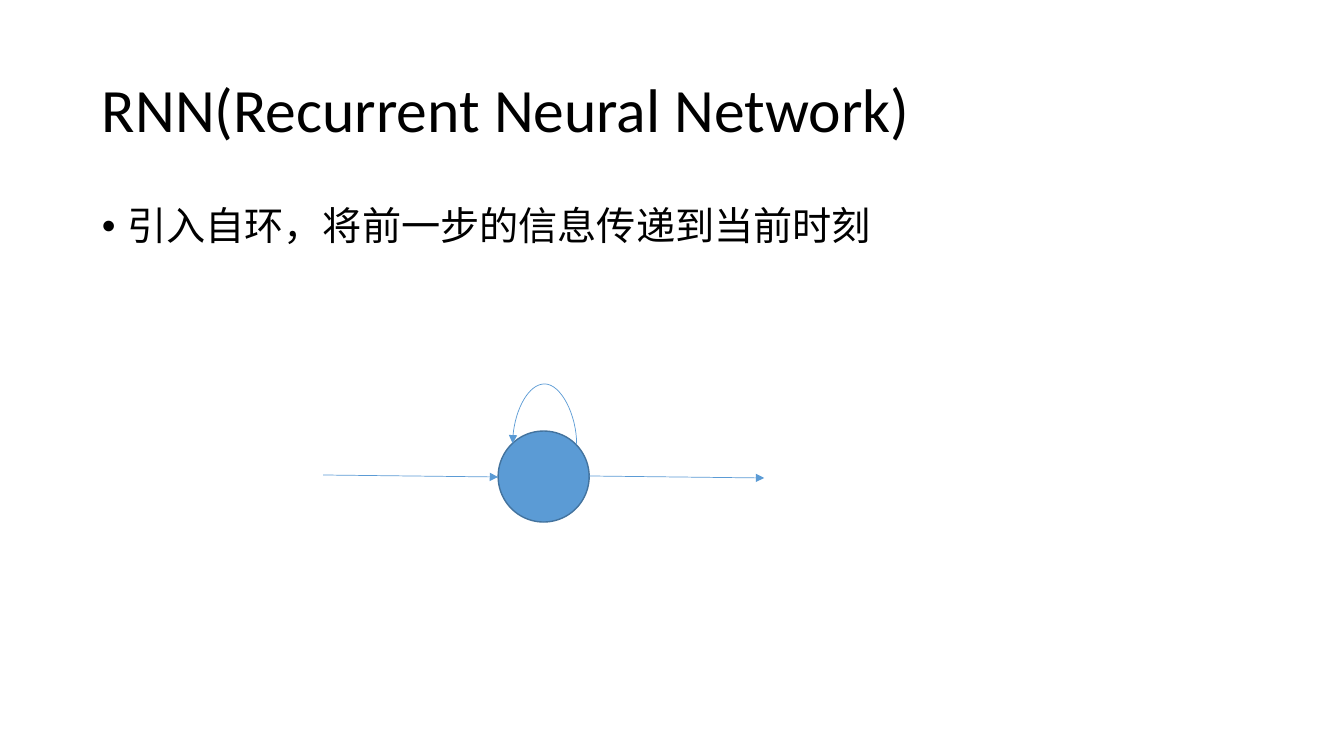
import pptx
import pptx.util
import pptx.dml.color
import pptx.enum.shapes
import pptx.enum.text
import pptx.oxml.ns
import lxml.etree

TITLE = "RNN(Recurrent Neural Network)"
POINT = "引入自环，将前一步的信息传递到当前时刻"
COLORS = {"text": "000000", "node": "5B9BD5", "edge": "43739E"}
FONT = "Calibri"

TITLE_BOX = (92, 40, 1159, 146)
BODY_BOX = (92, 202, 1159, 480)
NODE = (498, 431, 91, 91)
ARROWS = [((589, 476), (764, 478)), ((323, 475), (498, 477))]
LOOP_CENTER, LOOP_WIDTH, LOOP_RISE = (544, 444), 64, 61

EMU_PER_PX = 914400 / 100.8
SHAPES = pptx.enum.shapes.MSO_SHAPE
CONNECTORS = pptx.enum.shapes.MSO_CONNECTOR
ANCHORS = pptx.enum.text.MSO_ANCHOR


def px(value):
    return pptx.util.Emu(round(value * EMU_PER_PX))


def color(name):
    return pptx.dml.color.RGBColor.from_string(COLORS[name])


def add_child(parent, tag, **attributes):
    return lxml.etree.SubElement(parent, pptx.oxml.ns.qn(tag), attributes)


def add_text(page, place, text, size, anchor=ANCHORS.TOP, before=0, bullet=None):
    box = page.shapes.add_textbox(*map(px, place))
    frame = box.text_frame
    frame.word_wrap = True
    frame.vertical_anchor = anchor
    para = frame.paragraphs[0]
    para.line_spacing = 0.9
    para.space_before = pptx.util.Pt(before)
    if bullet:
        indent = pptx.util.Inches(0.25)
        properties = para._p.get_or_add_pPr()
        properties.set("marL", str(indent))
        properties.set("indent", str(-indent))
        add_child(properties, "a:buFont", typeface="Arial")
        add_child(properties, "a:buChar", char=bullet)
    span = para.add_run()
    span.text = text
    span.font.name = FONT
    span.font.size = pptx.util.Pt(size)
    span.font.color.rgb = color("text")


def add_arrow(page, kind, start, end):
    arrow = page.shapes.add_connector(kind, *map(px, start + end))
    arrow.line.color.rgb = color("node")
    arrow.line.width = pptx.util.Pt(0.5)
    add_child(arrow.line._get_or_add_ln(), "a:tailEnd", type="triangle")
    add_child(arrow._element.spPr, "a:effectLst")
    return arrow


def add_node(page):
    node = page.shapes.add_shape(SHAPES.OVAL, *map(px, NODE))
    node.shadow.inherit = False
    node.fill.solid()
    node.fill.fore_color.rgb = color("node")
    node.line.color.rgb = color("edge")
    node.line.width = pptx.util.Pt(1)


def add_loop(page):
    x, y = LOOP_CENTER
    half = LOOP_WIDTH // 2
    loop = add_arrow(page, CONNECTORS.CURVE, (x, y + half), (x + 1, y - half))
    properties = loop._element.spPr
    properties.find(pptx.oxml.ns.qn("a:xfrm")).set("rot", str(270 * 60000))
    geometry = properties.find(pptx.oxml.ns.qn("a:prstGeom"))
    guides = geometry.find(pptx.oxml.ns.qn("a:avLst"))
    add_child(guides, "a:gd", name="adj1", fmla=f"val {LOOP_RISE * 100000}")


def main():
    deck = pptx.Presentation()
    deck.slide_width = pptx.util.Inches(13.33)
    deck.slide_height = pptx.util.Inches(7.5)
    page = deck.slides.add_slide(deck.slide_layouts[6])
    add_text(page, TITLE_BOX, TITLE, 44, anchor=ANCHORS.MIDDLE)
    add_text(page, BODY_BOX, POINT, 28, before=10, bullet="•")
    add_node(page)
    for start, end in ARROWS:
        add_arrow(page, CONNECTORS.STRAIGHT, start, end)
    add_loop(page)
    deck.save("out.pptx")


if __name__ == "__main__":
    main()
